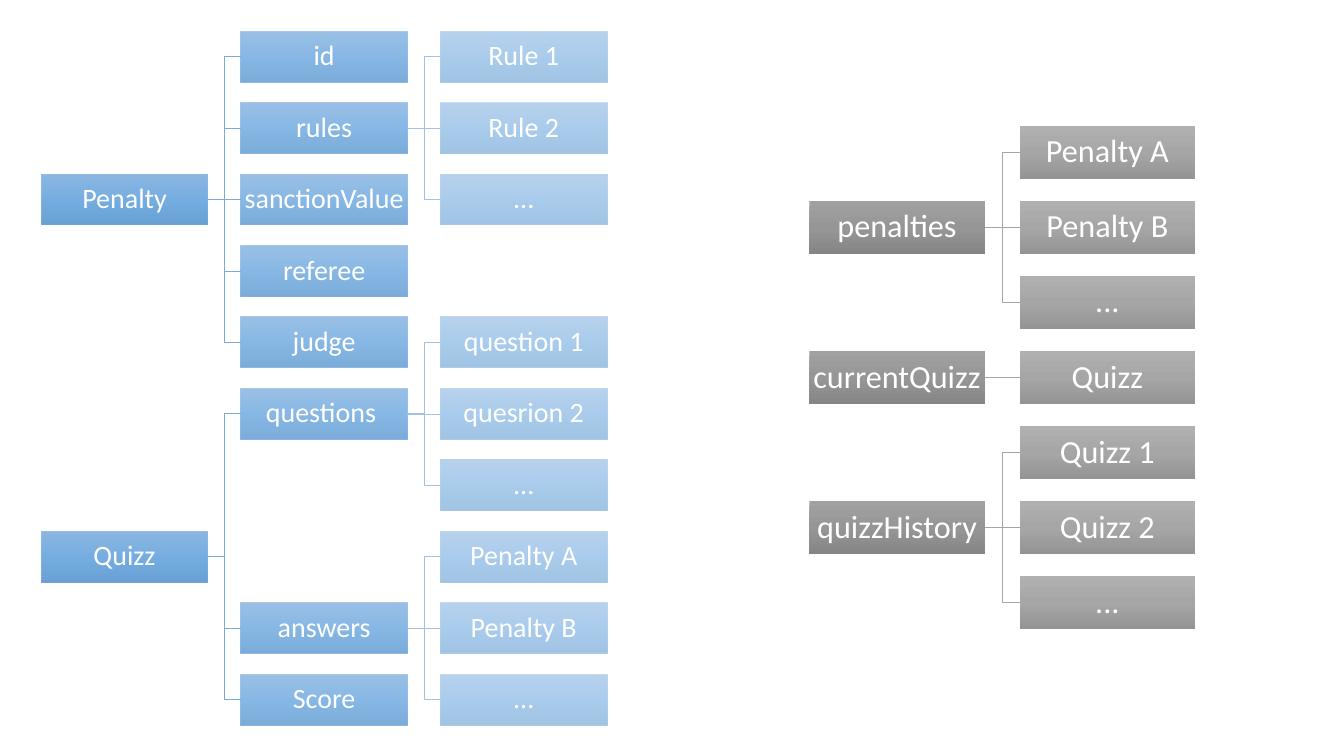
from pptx import Presentation
from pptx.dml.color import RGBColor
from pptx.enum.shapes import MSO_CONNECTOR, MSO_SHAPE
from pptx.enum.text import MSO_ANCHOR, PP_ALIGN
from pptx.oxml import parse_xml
from pptx.oxml.ns import nsdecls, qn
from pptx.util import Cm, Pt

RECTANGLE = MSO_SHAPE.RECTANGLE
STRAIGHT, ELBOW = MSO_CONNECTOR.STRAIGHT, MSO_CONNECTOR.ELBOW
CENTER, MIDDLE = PP_ALIGN.CENTER, MSO_ANCHOR.MIDDLE
RIGHT_SIDE, LEFT_SIDE = 3, 1

WHITE = RGBColor(0xFF, 0xFF, 0xFF)
BLUES = (RGBColor(0x71, 0xA6, 0xDB), RGBColor(0x55, 0x9B, 0xDB), RGBColor(0x44, 0x8A, 0xCA))
DARK_GRAYS = (RGBColor(0xA1, 0xA1, 0xA1), RGBColor(0x96, 0x96, 0x96), RGBColor(0x85, 0x85, 0x85))
LIGHT_GRAYS = (RGBColor(0xB0, 0xB0, 0xB0), RGBColor(0xA6, 0xA6, 0xA6), RGBColor(0x94, 0x94, 0x94))
BLUE_LINE = RGBColor(0x7A, 0xA9, 0xDA)
PALE_BLUE_LINE = RGBColor(0xA5, 0xC0, 0xE3)
GRAY_LINE = RGBColor(0xA6, 0xA6, 0xA6)

# Nodes are (column, row, text); a node belongs to the last one listed a column to its left.
# Levels are (gradient colors, opacity in percent), one for each column.
MODEL_TREE = {
    "left": 1.04, "top": 0.79, "width": 4.2, "height": 1.28,
    "column_step": 5.03, "row_step": 1.8, "inset": 0.03, "size": 20,
    "levels": [(BLUES, 80), (BLUES, 70), (BLUES, 50)],
    "lines": [BLUE_LINE, PALE_BLUE_LINE],
    "nodes": [
        (0, 2, "Penalty"),
        (1, 0, "id"),
        (1, 1, "rules"), (2, 0, "Rule 1"), (2, 1, "Rule 2"), (2, 2, "..."),
        (1, 2, "sanctionValue"),
        (1, 3, "referee"),
        (1, 4, "judge"),
        (0, 7, "Quizz"),
        (1, 5, "questions "), (2, 4, "question 1"), (2, 5, "quesrion 2"), (2, 6, "..."),
        (1, 8, "answers"), (2, 7, "Penalty A"), (2, 8, "Penalty B"), (2, 9, "..."),
        (1, 9, "Score"),
    ],
}
STATE_TREE = {
    "left": 20.4, "top": 3.17, "width": 4.42, "height": 1.35,
    "column_step": 5.3, "row_step": 1.89, "inset": 0.04, "size": 23,
    "levels": [(DARK_GRAYS, 100), (LIGHT_GRAYS, 100)],
    "lines": [GRAY_LINE],
    "nodes": [
        (0, 1, "penalties"), (1, 0, "Penalty A"), (1, 1, "Penalty B"), (1, 2, "..."),
        (0, 3, "currentQuizz"), (1, 3, "Quizz"),
        (0, 5, "quizzHistory"), (1, 4, "Quizz 1"), (1, 5, "Quizz 2"), (1, 6, "..."),
    ],
}


def add_box(tree, column, row, text):
    box = slide.shapes.add_shape(
        RECTANGLE,
        Cm(tree["left"] + column * tree["column_step"]),
        Cm(tree["top"] + row * tree["row_step"]),
        Cm(tree["width"]), Cm(tree["height"]))
    box.shadow.inherit = False
    colors, opacity = tree["levels"][column]
    stops = "".join(
        f'<a:gs pos="{index * 50000}"><a:srgbClr val="{color}">'
        f'<a:alpha val="{opacity * 1000}"/></a:srgbClr></a:gs>'
        for index, color in enumerate(colors))
    gradient = parse_xml(
        f'<a:gradFill {nsdecls("a")} rotWithShape="1"><a:gsLst>{stops}</a:gsLst>'
        '<a:lin ang="5400000" scaled="0"/></a:gradFill>')
    box._element.spPr.find(qn("a:prstGeom")).addnext(gradient)
    box.line.fill.background()

    frame = box.text_frame
    frame.text = text
    frame.word_wrap = True
    frame.vertical_anchor = MIDDLE
    frame.margin_left = frame.margin_right = Cm(tree["inset"])
    frame.margin_top = frame.margin_bottom = Cm(tree["inset"])
    paragraph = frame.paragraphs[0]
    paragraph.alignment = CENTER
    paragraph.line_spacing = 0.9
    font = paragraph.runs[0].font
    font.name = "Calibri"
    font.size = Pt(tree["size"])
    font.color.rgb = WHITE
    return box


def join_boxes(parent, child, color):
    kind = STRAIGHT if parent.top == child.top else ELBOW
    connector = slide.shapes.add_connector(kind, 0, 0, 0, 0)
    connector.begin_connect(parent, RIGHT_SIDE)
    connector.end_connect(child, LEFT_SIDE)
    connector.line.color.rgb = color
    connector.line.width = Pt(0.5)
    connector._element.spPr.append(parse_xml(f'<a:effectLst {nsdecls("a")}/>'))


presentation = Presentation()
presentation.slide_width = Cm(33.87)
presentation.slide_height = Cm(19.05)
slide = presentation.slides.add_slide(presentation.slide_layouts[6])

for tree in (STATE_TREE, MODEL_TREE):
    latest_boxes = {}
    for column, row, text in tree["nodes"]:
        box = add_box(tree, column, row, text)
        latest_boxes[column] = box
        if column > 0:
            join_boxes(latest_boxes[column - 1], box, tree["lines"][column - 1])

presentation.save("out.pptx")
